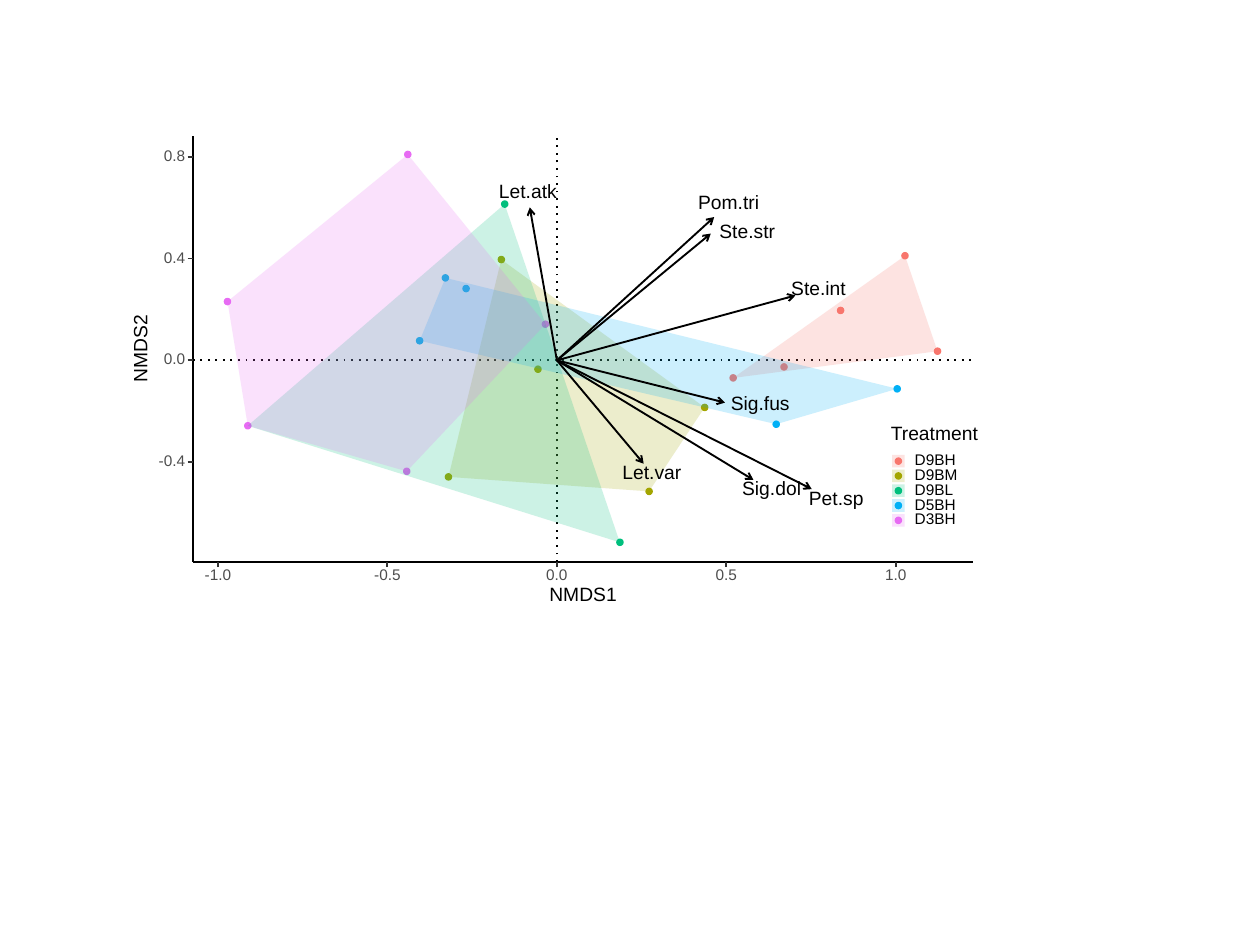
import pptx
import pptx.util
import pptx.dml.color
import pptx.enum.shapes
import pptx.enum.text
import pptx.oxml
import pptx.oxml.ns

SHAPE = pptx.enum.shapes.MSO_SHAPE
ALIGN = pptx.enum.text.PP_ALIGN
ANCHOR = pptx.enum.text.MSO_ANCHOR
inches = pptx.util.Inches

COLORS = {"paper": "FFFFFF", "ink": "000000", "tick": "333333", "tick_text": "4D4D4D",
          "D9BH": "F8766D", "D9BM": "A3A500", "D9BL": "00BF7D",
          "D5BH": "00B0F6", "D3BH": "E76BF3"}

# Plot panel and scales; scores are in hundredths of an axis unit
LEFT, TOP, RIGHT, BOTTOM = 1.53, 1.08, 7.72, 4.46
ORIGIN = (4.42, 2.86)
UNIT = (2.69, 2.02)
RULE, TICK, DOT, KEY = 1.07, 0.04, 0.05, 0.1

# Treatment: hull corners, then the points inside the hull
SHARED = (-91.2, -25.7)
TREATMENTS = {
    "D9BH": ([(112.3, 3.6), (52, -6.9), (102.7, 41.1)], [(83.7, 19.6), (67, -2.6)]),
    "D9BM": ([(27.2, -51.5), (-32, -45.8), (-16.4, 39.6), (43.6, -18.5)], [(-5.6, -3.5)]),
    "D9BL": ([(18.6, -71.5), SHARED, (-15.4, 61.4)], []),
    "D5BH": ([(100.4, -11.2), (64.7, -25.1), (-40.5, 7.7), (-32.9, 32.4)], [(-26.8, 28.2)]),
    "D3BH": ([(-44.3, -43.6), SHARED, (-97.2, 23.1), (-44, 80.9), (-3.4, 14.2)], []),
}

# Species: arrow tip as scores, then left, middle and width of its label
SPECIES = {
    "Pet.sp": ((75.2, -50.6), (6.42, 3.97, 0.46)),
    "Pom.tri": ((46.4, 56.3), (5.54, 1.62, 0.52)),
    "Sig.dol": ((58, -47), (5.89, 3.89, 0.5)),
    "Let.var": ((25.6, -40.6), (4.94, 3.76, 0.5)),
    "Let.atk": ((-8, 60.1), (3.96, 1.53, 0.49)),
    "Ste.str": ((45.4, 49.8), (5.71, 1.85, 0.47)),
    "Ste.int": ((70.4, 25.5), (6.28, 2.3, 0.46)),
    "Sig.fus": ((49.6, -16.6), (5.8, 3.21, 0.5)),
}


def rgb(name):
    return pptx.dml.color.RGBColor.from_string(COLORS[name])


def place(score):
    return (ORIGIN[0] + UNIT[0] * score[0] / 100, ORIGIN[1] - UNIT[1] * score[1] / 100)


def append_xml(parent, tag, **attributes):
    child = pptx.oxml.parse_xml(f"<a:{tag} {pptx.oxml.ns.nsdecls('a')}/>")
    for key, value in attributes.items():
        child.set(key, value)
    parent.append(child)


def paint(shape, color, outline=None, opacity=100):
    shape.shadow.inherit = False
    shape.fill.solid()
    shape.fill.fore_color.rgb = rgb(color)
    if opacity < 100:
        tint = shape.fill._xPr.find(".//" + pptx.oxml.ns.qn("a:srgbClr"))
        append_xml(tint, "alpha", val=str(opacity * 1000))
    if outline:
        shape.line.color.rgb = rgb(color)
        shape.line.width = pptx.util.Pt(outline)
    else:
        shape.line.fill.background()


def add_block(group, left, top, width, height, color, kind=SHAPE.RECTANGLE, **look):
    block = group.add_shape(kind, *map(inches, (left, top, width, height)))
    paint(block, color, **look)


def add_dot(group, center, color):
    add_block(group, center[0] - DOT / 2, center[1] - DOT / 2, DOT, DOT, color,
              kind=SHAPE.OVAL, outline=0.71)


def add_hull(group, corners, color):
    points = [tuple(map(inches, place(corner))) for corner in corners]
    builder = group.build_freeform(*points[0], scale=1.0)
    builder.add_line_segments(points[1:], close=True)
    paint(builder.convert_to_shape(), color, opacity=20)


def add_rule(group, start, end, color="ink", dotted=False, arrow=False):
    rule = group.add_connector(pptx.enum.shapes.MSO_CONNECTOR.STRAIGHT,
                               *map(inches, (*start, *end)))
    rule.line.color.rgb = rgb(color)
    rule.line.width = pptx.util.Pt(RULE)
    outline = rule.line._get_or_add_ln()
    if dotted:
        append_xml(outline, "prstDash", val="dot")
    if arrow:
        append_xml(outline, "tailEnd", type="arrow", w="sm", len="sm")
    append_xml(rule._element.spPr, "effectLst")


def add_text(group, text, left, middle, width, size=11, color="ink",
             align=ALIGN.LEFT, turn=0):
    height = 0.01 * size
    box = group.add_textbox(*map(inches, (left, middle - height / 2, width, height)))
    box.rotation = turn
    frame = box.text_frame
    frame.word_wrap = False
    frame.vertical_anchor = ANCHOR.MIDDLE
    frame.margin_left = frame.margin_right = frame.margin_top = frame.margin_bottom = 0
    para = frame.paragraphs[0]
    para.alignment = align
    para.line_spacing = pptx.util.Pt(size)
    span = para.add_run()
    span.text = text
    span.font.name = "Arial"
    span.font.size = pptx.util.Pt(size)
    span.font.color.rgb = rgb(color)


def draw_points(group):
    # A shared point belongs to the last treatment that holds it
    owners = {point: name for name, (hull, inner) in TREATMENTS.items()
              for point in hull + inner}
    for point, name in owners.items():
        add_dot(group, place(point), name)
    for name, (hull, _) in TREATMENTS.items():
        add_hull(group, hull, name)


def draw_species(group):
    for tip, _ in SPECIES.values():
        add_rule(group, ORIGIN, place(tip), arrow=True)
    for name, (_, label) in SPECIES.items():
        add_text(group, name, *label)


def draw_axes(group):
    small = {"size": 8.8, "color": "tick_text"}
    add_rule(group, (LEFT, BOTTOM), (LEFT, TOP))
    for score in range(-40, 81, 40):
        level = place((0, score))[1]
        add_text(group, f"{score / 100:.1f}", 1.23, level, 0.24, align=ALIGN.RIGHT, **small)
        add_rule(group, (LEFT - TICK, level), (LEFT, level), color="tick")
    add_rule(group, (LEFT, BOTTOM), (RIGHT, BOTTOM))
    for score in range(-100, 101, 50):
        across = place((score, 0))[0]
        add_rule(group, (across, BOTTOM + TICK), (across, BOTTOM), color="tick")
        add_text(group, f"{score / 100:.1f}", across - 0.12, 4.57, 0.24,
                 align=ALIGN.CENTER, **small)
    add_text(group, "NMDS1", 4.36, 4.73, 0.57)
    add_text(group, "NMDS2", 0.84, 2.75, 0.57, turn=270)


def draw_legend(group):
    add_block(group, 6.99, 3.31, 0.81, 0.96, "paper")
    add_text(group, "Treatment", 7.07, 3.45, 0.73)
    first, last = 3.66, 4.13
    pitch = (last - first) / (len(TREATMENTS) - 1)
    for row, name in enumerate(TREATMENTS):
        middle = first + row * pitch
        add_dot(group, (7.13, middle), name)
        add_block(group, 7.08, middle - KEY / 2, KEY, KEY, name, opacity=20)
        add_text(group, name, 7.26, middle, 0.38, size=8.8)


def main():
    deck = pptx.Presentation()
    deck.slide_width, deck.slide_height = inches(10), inches(7.5)
    page = deck.slides.add_slide(deck.slide_layouts[6])
    group = page.shapes.add_group_shape().shapes

    # Plot area and zero lines
    add_block(group, 1, 1, 6.8, 3.9, "paper", outline=RULE)
    add_block(group, LEFT, TOP, RIGHT - LEFT, BOTTOM - TOP, "paper")
    add_rule(group, (LEFT, ORIGIN[1]), (RIGHT, ORIGIN[1]), dotted=True)
    add_rule(group, (ORIGIN[0], BOTTOM), (ORIGIN[0], TOP), dotted=True)

    # Data, axes and key
    draw_points(group)
    draw_species(group)
    draw_axes(group)
    draw_legend(group)
    deck.save("out.pptx")


main()
